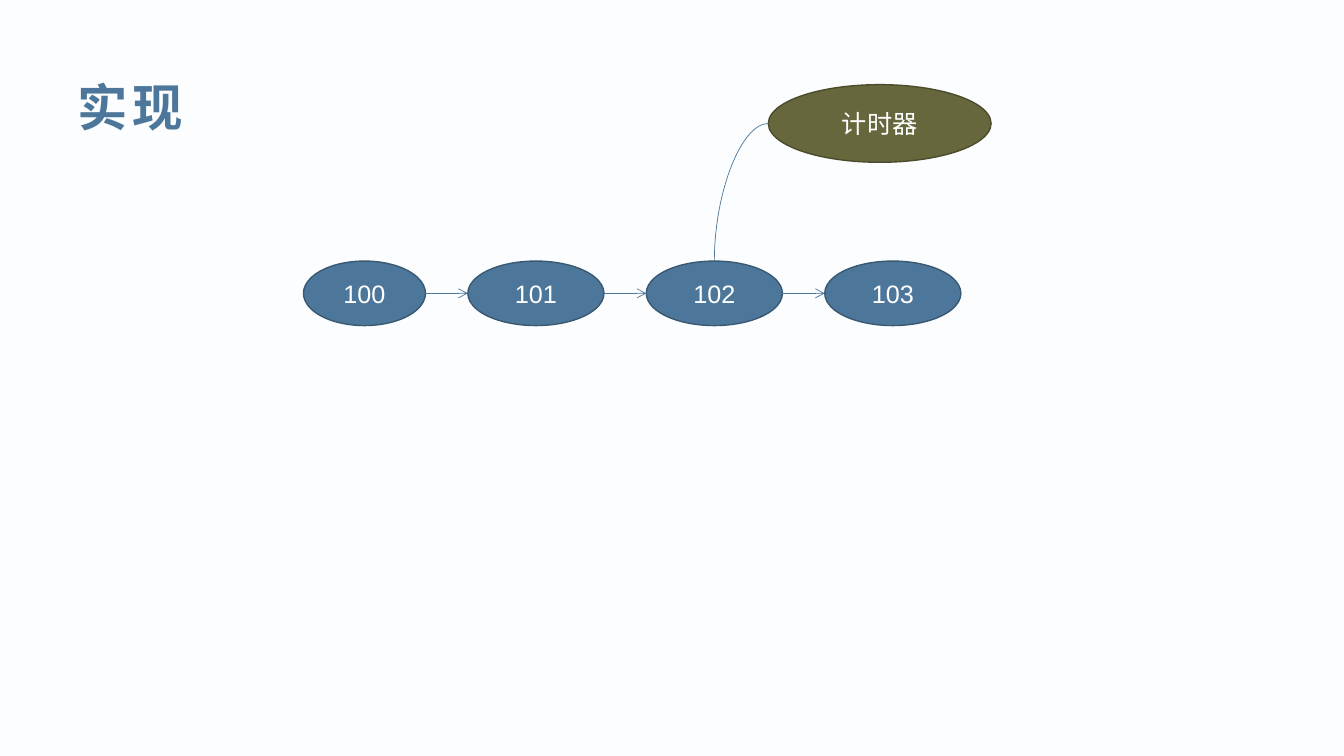
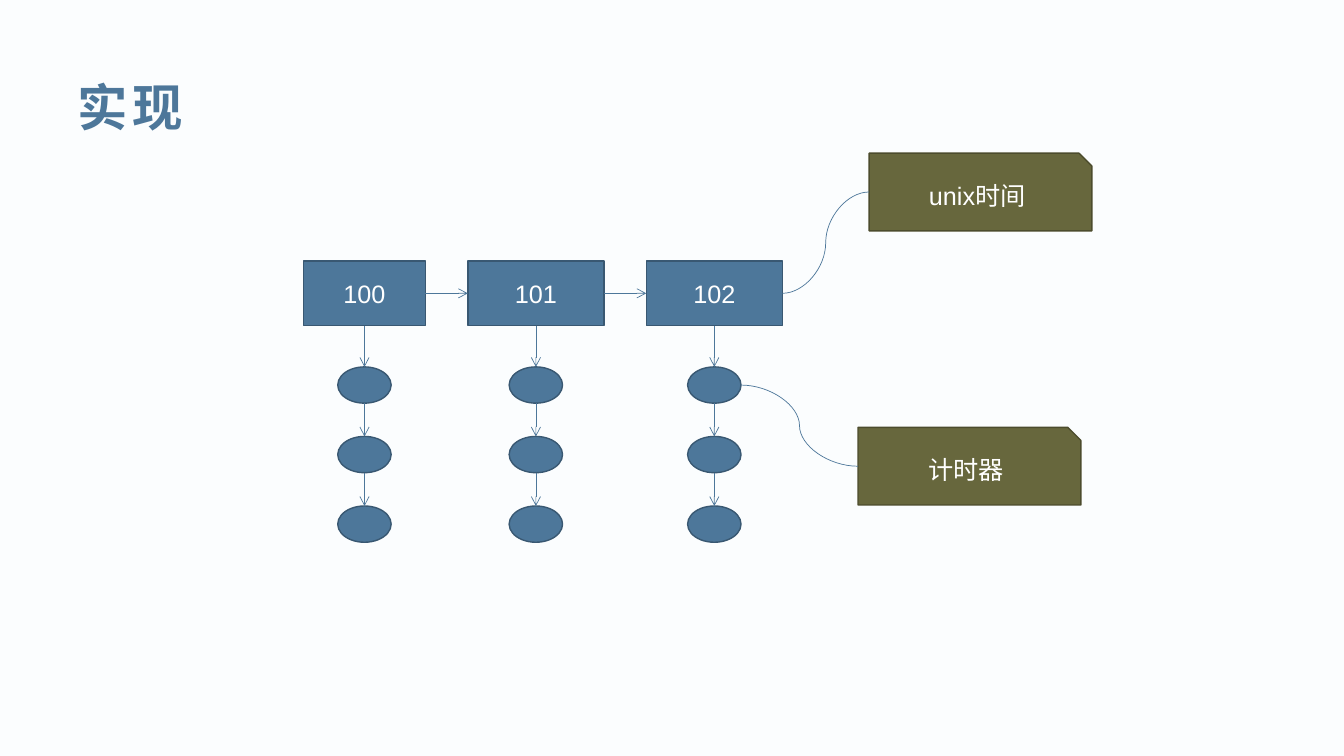
from dataclasses import dataclass

import pptx
import pptx.dml.color
import pptx.enum.shapes
import pptx.enum.text
import pptx.oxml.ns
import pptx.presentation
import pptx.shapes.connector
import pptx.slide
import pptx.util

Inches = pptx.util.Inches
Pt = pptx.util.Pt
RGBColor = pptx.dml.color.RGBColor
Shape = pptx.enum.shapes.MSO_SHAPE
Connector = pptx.enum.shapes.MSO_CONNECTOR
Slide = pptx.slide.Slide
Point = tuple[float, float]

BACKGROUND = RGBColor(0xFB, 0xFD, 0xFE)
BLUE = RGBColor(0x4D, 0x77, 0x9A)
BLUE_EDGE = RGBColor(0x39, 0x58, 0x72)
OLIVE = RGBColor(0x67, 0x67, 0x3D)
OLIVE_EDGE = RGBColor(0x4C, 0x4C, 0x2D)
WHITE = RGBColor(0xFF, 0xFF, 0xFF)
FONT = "Arial"

CHAIN_LEFT, CHAIN_TOP, CHAIN_GAP = 3.01, 2.59, 0.42
FIRST_WIDTH, NODE_WIDTH, NODE_HEIGHT = 1.21, 1.35, 0.64
TIMER_WIDTH, TIMER_HEIGHT = 0.53, 0.36
TIMER_TOP, TIMER_PITCH, TIMER_COUNT = 3.64, 0.69, 3
LABEL_WIDTH, LABEL_HEIGHT = 2.21, 0.77


@dataclass(frozen=True)
class Node:
    left: float
    top: float
    width: float
    height: float
    kind: Shape
    text: str = ""
    fill: RGBColor = BLUE
    edge: RGBColor = BLUE_EDGE

    @property
    def west(self) -> Point:
        return self.left, self.top + self.height / 2

    @property
    def east(self) -> Point:
        return self.left + self.width, self.top + self.height / 2

    @property
    def north(self) -> Point:
        return self.left + self.width / 2, self.top

    @property
    def south(self) -> Point:
        return self.left + self.width / 2, self.top + self.height


def label(left: float, top: float, kind: Shape, text: str) -> Node:
    return Node(left, top, LABEL_WIDTH, LABEL_HEIGHT, kind, text, OLIVE, OLIVE_EDGE)


def draw_node(page: Slide, node: Node) -> None:
    box = page.shapes.add_shape(
        node.kind, Inches(node.left), Inches(node.top), Inches(node.width), Inches(node.height)
    )
    box.shadow.inherit = False
    box.fill.solid()
    box.fill.fore_color.rgb = node.fill
    box.line.color.rgb = node.edge
    box.line.width = Pt(1)
    if node.text:
        frame = box.text_frame
        frame.vertical_anchor = pptx.enum.text.MSO_ANCHOR.MIDDLE
        para = frame.paragraphs[0]
        para.text = node.text
        para.alignment = pptx.enum.text.PP_ALIGN.CENTER
        para.font.name = FONT
        para.font.size = Pt(18)
        para.font.color.rgb = WHITE


def draw_link(
    page: Slide, start: Point, end: Point, kind: Connector = Connector.STRAIGHT
) -> pptx.shapes.connector.Connector:
    link = page.shapes.add_connector(kind, *(Inches(value) for value in (*start, *end)))
    link.line.color.rgb = BLUE
    link.line.width = Pt(0.5)
    properties = link._element.spPr
    properties.append(properties.makeelement(pptx.oxml.ns.qn("a:effectLst"), {}))
    return link


def draw_arrow(page: Slide, start: Point, end: Point) -> None:
    line = draw_link(page, start, end).get_or_add_ln()
    line.append(line.makeelement(pptx.oxml.ns.qn("a:tailEnd"), {"type": "arrow"}))


def draw_quarter_curve(page: Slide, start: Point, end: Point) -> None:
    across, rise = end[0] - start[0], start[1] - end[1]
    middle_x, middle_y = (start[0] + end[0]) / 2, (start[1] + end[1]) / 2
    link = draw_link(
        page,
        (middle_x - rise / 2, middle_y - across / 2),
        (middle_x + rise / 2, middle_y + across / 2),
        Connector.CURVE,
    )
    properties = link._element.spPr
    properties.find(pptx.oxml.ns.qn("a:xfrm")).set("rot", str(270 * 60000))
    properties.find(pptx.oxml.ns.qn("a:prstGeom")).set("prst", "curvedConnector2")


def draw_chain(page: Slide, kind: Shape, texts: list[str]) -> list[Node]:
    nodes: list[Node] = []
    left = CHAIN_LEFT
    for text in texts:
        width = NODE_WIDTH if nodes else FIRST_WIDTH
        nodes.append(Node(left, CHAIN_TOP, width, NODE_HEIGHT, kind, text))
        left += width + CHAIN_GAP
    for node in nodes:
        draw_node(page, node)
    for before, after in zip(nodes, nodes[1:]):
        draw_arrow(page, before.east, after.west)
    return nodes


def draw_timers(page: Slide, head: Node) -> list[Node]:
    left = head.south[0] - TIMER_WIDTH / 2
    timers = [
        Node(left, TIMER_TOP + row * TIMER_PITCH, TIMER_WIDTH, TIMER_HEIGHT, Shape.OVAL)
        for row in range(TIMER_COUNT)
    ]
    for above, timer in zip([head, *timers], timers):
        draw_node(page, timer)
        draw_arrow(page, above.south, timer.north)
    return timers


def add_page(deck: pptx.presentation.Presentation, title: str) -> Slide:
    page = deck.slides.add_slide(deck.slide_layouts[6])
    box = page.shapes.add_textbox(Inches(0.67), Inches(0.67), Inches(12.28), Inches(0.77))
    frame = box.text_frame
    frame.word_wrap = True
    frame.vertical_anchor = pptx.enum.text.MSO_ANCHOR.MIDDLE
    para = frame.paragraphs[0]
    para.font.name = FONT
    para.font.size = Pt(36)
    para.font.bold = True
    para.font.color.rgb = BLUE
    span = para.add_run()
    span.text = title
    span._r.get_or_add_rPr().set("spc", "300")
    return page


def build_list_page(deck: pptx.presentation.Presentation) -> None:
    page = add_page(deck, "实现")
    nodes = draw_chain(page, Shape.OVAL, ["100", "101", "102", "103"])
    timer = label(7.62, 0.84, Shape.OVAL, "计时器")
    draw_node(page, timer)
    draw_quarter_curve(page, nodes[2].north, timer.west)


def build_bucket_page(deck: pptx.presentation.Presentation) -> None:
    page = add_page(deck, "实现")
    buckets = draw_chain(page, Shape.RECTANGLE, ["100", "101", "102"])
    columns = [draw_timers(page, bucket) for bucket in buckets]
    unix_time = label(8.62, 1.52, Shape.SNIP_1_RECTANGLE, "unix时间")
    timer = label(8.51, 4.24, Shape.SNIP_1_RECTANGLE, "计时器")
    for source, target in ((buckets[-1], unix_time), (columns[-1][0], timer)):
        draw_node(page, target)
        draw_link(page, source.east, target.west, Connector.CURVE)


def main() -> None:
    deck = pptx.Presentation()
    deck.slide_width = Inches(13.33)
    deck.slide_height = Inches(7.5)
    background = deck.slide_master.background.fill
    background.solid()
    background.fore_color.rgb = BACKGROUND
    build_list_page(deck)
    build_bucket_page(deck)
    deck.save("out.pptx")


if __name__ == "__main__":
    main()
